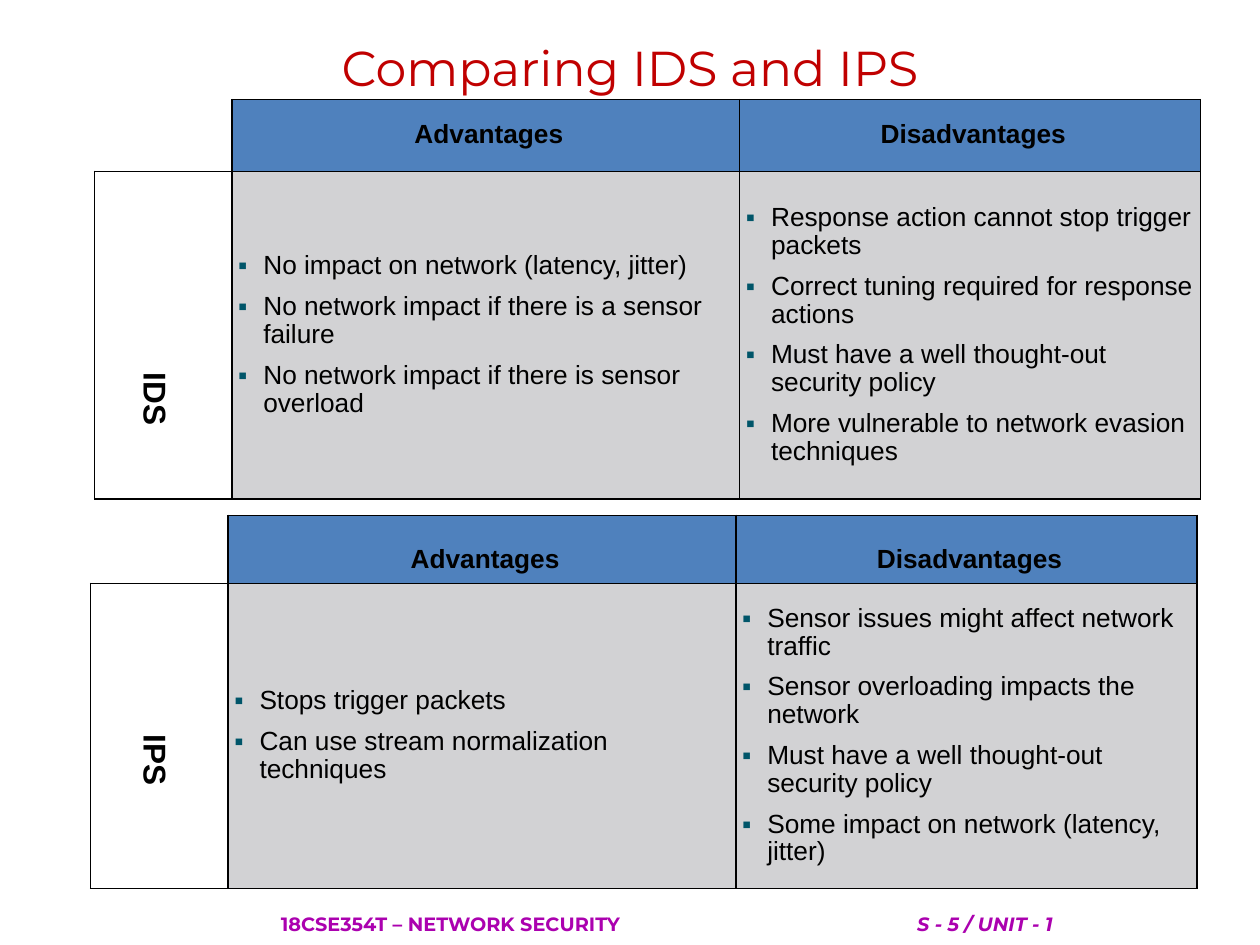
"""Build a slide comparing the advantages and disadvantages of IDS and IPS."""
from lxml.etree import SubElement
from pptx import Presentation
from pptx.dml.color import RGBColor
from pptx.enum.text import MSO_ANCHOR, PP_ALIGN
from pptx.oxml.ns import qn
from pptx.util import Inches, Pt

COLORS = {
    "title": "C00000",
    "header": "4F81BD",
    "body": "D2D2D4",
    "bullet": "005569",
    "text": "000000",
    "footer": "AB01AF",
}
COLUMN_WIDTHS = [1.09, 4.03, 3.66]
HEADERS = ["Advantages", "Disadvantages"]
COMPARISONS = [
    {
        "name": "IDS", "left": 0.75, "top": 0.79, "rows": [0.57, 2.6],
        "label": (1.02, 2.93, 0.44, 0.49),
        "header_anchor": MSO_ANCHOR.MIDDLE, "header_spacing": 0.95,
        "points": [
            [
                "No impact on network (latency, jitter)",
                "No network impact if there is a sensor failure",
                "No network impact if there is sensor overload",
            ],
            [
                "Response action cannot stop trigger packets",
                "Correct tuning required for response actions",
                "Must have a well thought-out security policy",
                "More vulnerable to network evasion techniques",
            ],
        ],
    },
    {
        "name": "IPS", "left": 0.72, "top": 4.09, "rows": [0.54, 2.42],
        "label": (1.02, 5.8, 0.44, 0.47),
        "header_anchor": MSO_ANCHOR.TOP, "header_spacing": 2.0,
        "points": [
            ["Stops trigger packets", "Can use stream normalization techniques"],
            [
                "Sensor issues might affect network traffic",
                "Sensor overloading impacts the network",
                "Must have a well thought-out security policy",
                "Some impact on network (latency, jitter)",
            ],
        ],
    },
]


def add_run(paragraph, text, size, color, font="Arial", bold=False, italic=False):
    run = paragraph.add_run()
    run.text = text
    run.font.name = font
    run.font.size = Pt(size)
    run.font.bold = bold
    run.font.italic = italic
    run.font.color.rgb = RGBColor.from_string(COLORS[color])


def add_text_box(slide, box, anchor, wrap):
    shape = slide.shapes.add_textbox(*[Inches(value) for value in box])
    frame = shape.text_frame
    frame.word_wrap = wrap
    frame.vertical_anchor = anchor
    return frame


presentation = Presentation()
presentation.slide_width = Inches(10)
presentation.slide_height = Inches(7.5)
slide = presentation.slides.add_slide(presentation.slide_layouts[6])

title = add_text_box(slide, (0.5, 0.3, 9, 0.46), MSO_ANCHOR.MIDDLE, True)
title.paragraphs[0].alignment = PP_ALIGN.CENTER
add_run(title.paragraphs[0], "Comparing IDS and IPS", 28, "title", "Montserrat")

for comparison in COMPARISONS:
    table = slide.shapes.add_table(
        2, 3, Inches(comparison["left"]), Inches(comparison["top"]),
        Inches(sum(COLUMN_WIDTHS)), Inches(sum(comparison["rows"])),
    ).table
    table.first_row = False
    table.horz_banding = False
    for column, width in zip(table.columns, COLUMN_WIDTHS):
        column.width = Inches(width)
    for row, height in zip(table.rows, comparison["rows"]):
        row.height = Inches(height)

    for row_index in range(2):
        for column_index in range(3):
            cell = table.cell(row_index, column_index)
            is_corner = row_index == column_index == 0
            properties = cell._tc.get_or_add_tcPr()
            for side in ("lnL", "lnR", "lnT", "lnB"):
                line = SubElement(properties, qn(f"a:{side}"), w=str(Pt(1)))
                if is_corner and side in ("lnL", "lnT"):
                    SubElement(line, qn("a:noFill"))
                else:
                    fill = SubElement(line, qn("a:solidFill"))
                    SubElement(fill, qn("a:srgbClr"), val=COLORS["text"])
            if column_index == 0:
                cell.fill.background()
                continue

            is_header = row_index == 0
            cell.fill.solid()
            cell.fill.fore_color.rgb = RGBColor.from_string(
                COLORS["header" if is_header else "body"])
            cell.margin_left = Inches(0.05)
            cell.margin_right = cell.margin_top = cell.margin_bottom = 0
            frame = cell.text_frame
            if is_header:
                cell.vertical_anchor = comparison["header_anchor"]
                paragraph = frame.paragraphs[0]
                paragraph.alignment = PP_ALIGN.CENTER
                paragraph.line_spacing = comparison["header_spacing"]
                add_run(paragraph, HEADERS[column_index - 1], 15, "text", bold=True)
                continue

            cell.vertical_anchor = MSO_ANCHOR.MIDDLE
            for index, point in enumerate(comparison["points"][column_index - 1]):
                paragraph = frame.add_paragraph() if index else frame.paragraphs[0]
                paragraph.line_spacing = 0.95
                if index:
                    paragraph.space_before = Pt(7.5)
                settings = paragraph._p.get_or_add_pPr()
                settings.set("marL", str(Inches(0.2)))
                settings.set("indent", str(Inches(-0.2)))
                bullet_color = SubElement(settings, qn("a:buClr"))
                SubElement(bullet_color, qn("a:srgbClr"), val=COLORS["bullet"])
                SubElement(settings, qn("a:buFont"), typeface="Arial")
                SubElement(settings, qn("a:buChar"), char="▪")
                add_run(paragraph, point, 15, "text")

    label = add_text_box(slide, comparison["label"], MSO_ANCHOR.TOP, False)
    label.margin_left = label.margin_right = Inches(0.07)
    label.margin_top = label.margin_bottom = Inches(0.03)
    label._txBody.bodyPr.set("vert", "eaVert")
    label.paragraphs[0].alignment = PP_ALIGN.CENTER
    add_run(label.paragraphs[0], comparison["name"], 18, "text", bold=True)

footer = add_text_box(slide, (0.75, 7.17, 9.25, 0.33), MSO_ANCHOR.MIDDLE, True)
paragraph = footer.paragraphs[0]
tab_stops = SubElement(paragraph._p.get_or_add_pPr(), qn("a:tabLst"))
for position in (1.38, 6.43):
    SubElement(tab_stops, qn("a:tab"), pos=str(Inches(position)), algn="l")
add_run(paragraph, "\t18CSE354T – NETWORK SECURITY\t", 11, "footer", "Montserrat", True)
add_run(paragraph, "S - 5 / UNIT - 1", 11, "footer", "Montserrat", True, True)

presentation.save("out.pptx")
